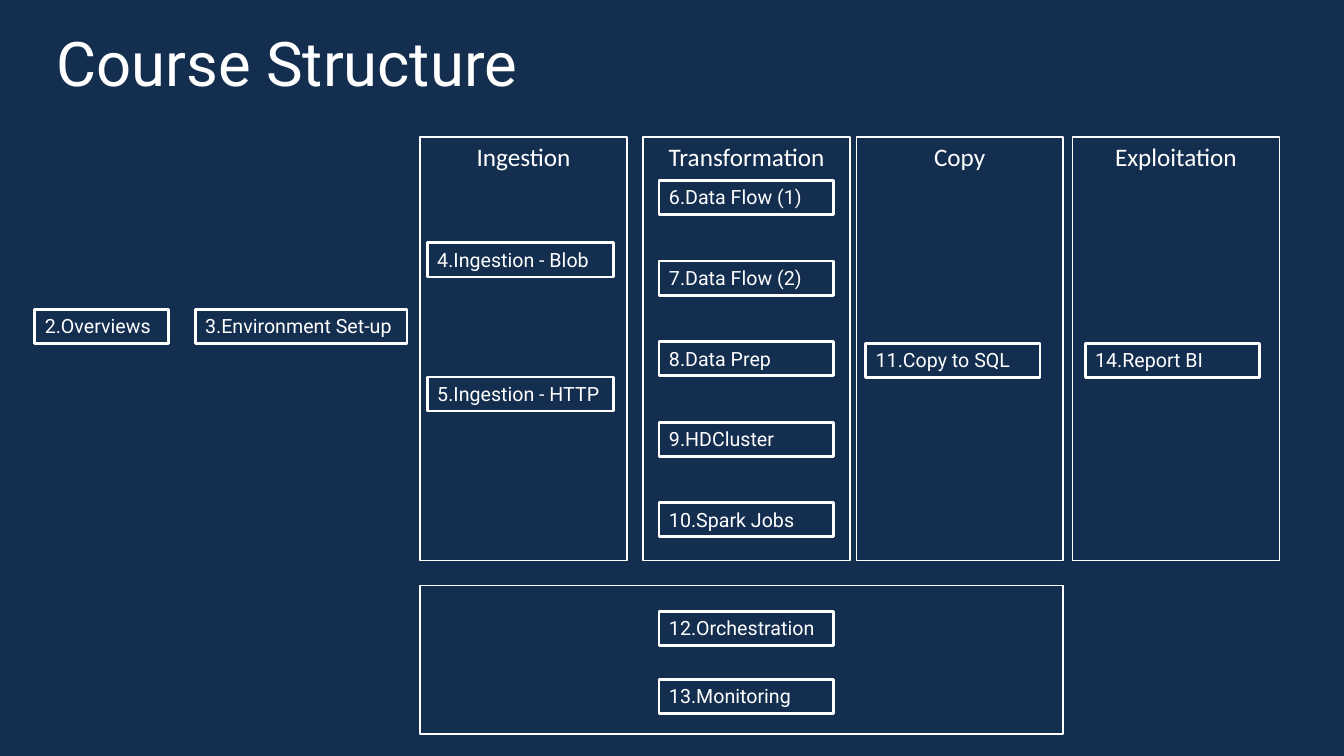
from pptx import Presentation
from pptx import util as u
from pptx.dml import color
from pptx.enum import shapes, text

NAVY, WHITE = "142E50", "FFFFFF"


def rgb(value):
    return color.RGBColor.from_string(value)


class CourseSlide:
    """Draws the parts of the course map in one style on one slide."""

    def __init__(self, deck):
        self.slide = deck.slides.add_slide(deck.slide_layouts[5])
        fill = self.slide.background.fill
        fill.solid()
        fill.fore_color.rgb = rgb(NAVY)

    def label(self, part, words, size, font, align, left=0, top=0):
        frame = part.text_frame
        frame.word_wrap = True
        frame.auto_size = text.MSO_AUTO_SIZE.NONE
        frame.vertical_anchor = text.MSO_ANCHOR.TOP
        frame.margin_left, frame.margin_top = u.Cm(left), u.Cm(top)
        frame.margin_right = frame.margin_bottom = 0
        paragraph = frame.paragraphs[0]
        paragraph.alignment = align
        run = paragraph.add_run()
        run.text = words
        run.font.size = u.Pt(size)
        run.font.name = font
        run.font.color.rgb = rgb(WHITE)

    def title(self, words, left, top, width, height):
        heading = self.slide.shapes.title
        heading.left, heading.top = u.Cm(left), u.Cm(top)
        heading.width, heading.height = u.Cm(width), u.Cm(height)
        self.label(heading, words, 44, "Roboto", text.PP_ALIGN.LEFT, 0.03, 0.03)

    def box(self, left, top, width, height, line):
        frame = self.slide.shapes.add_shape(
            shapes.MSO_SHAPE.RECTANGLE, u.Cm(left), u.Cm(top), u.Cm(width), u.Cm(height))
        frame.shadow.inherit = False
        frame.fill.solid()
        frame.fill.fore_color.rgb = rgb(NAVY)
        frame.line.color.rgb = rgb(WHITE)
        frame.line.width = u.Pt(line)
        return frame

    def stage(self, words, left):
        column = self.box(left, 3.45, 5.21, 10.68, 1)
        self.label(column, words, 18, "Calibri", text.PP_ALIGN.CENTER, top=0.1)

    def section(self, words, left, top, width=4.39):
        card = self.box(left, top, width, 0.86, 2)
        self.label(card, words, 14, "Roboto", text.PP_ALIGN.LEFT, 0.25, 0.12)


def main():
    deck = Presentation()
    deck.slide_width, deck.slide_height = u.Cm(33.87), u.Cm(19.05)
    course = CourseSlide(deck)
    course.title("Course Structure", 1.4, 0.61, 11.81, 1.93)

    course.box(10.59, 14.75, 16.2, 3.75, 1)
    stages = {"Ingestion": 10.59, "Transformation": 16.21, "Copy": 21.58, "Exploitation": 27.03}
    for stage, left in stages.items():
        course.stage(stage, left)

    course.section("2.Overviews", 0.88, 7.8, 3.36)
    course.section("3.Environment Set-up", 4.92, 7.8, 5.34)
    course.section("4.Ingestion - Blob", 10.77, 6.12, 4.7)
    course.section("5.Ingestion - HTTP", 10.77, 9.5, 4.7)

    transformations = ["6.Data Flow (1)", "7.Data Flow (2)", "8.Data Prep",
                       "9.HDCluster", "10.Spark Jobs"]
    for row, transformation in enumerate(transformations):
        course.section(transformation, 16.61, 4.55 + row * 2.03)

    course.section("11.Copy to SQL", 21.82, 8.66)
    course.section("12.Orchestration", 16.61, 15.41)
    course.section("13.Monitoring", 16.61, 17.12)
    course.section("14.Report BI", 27.35, 8.66)
    deck.save("out.pptx")


if __name__ == "__main__":
    main()
